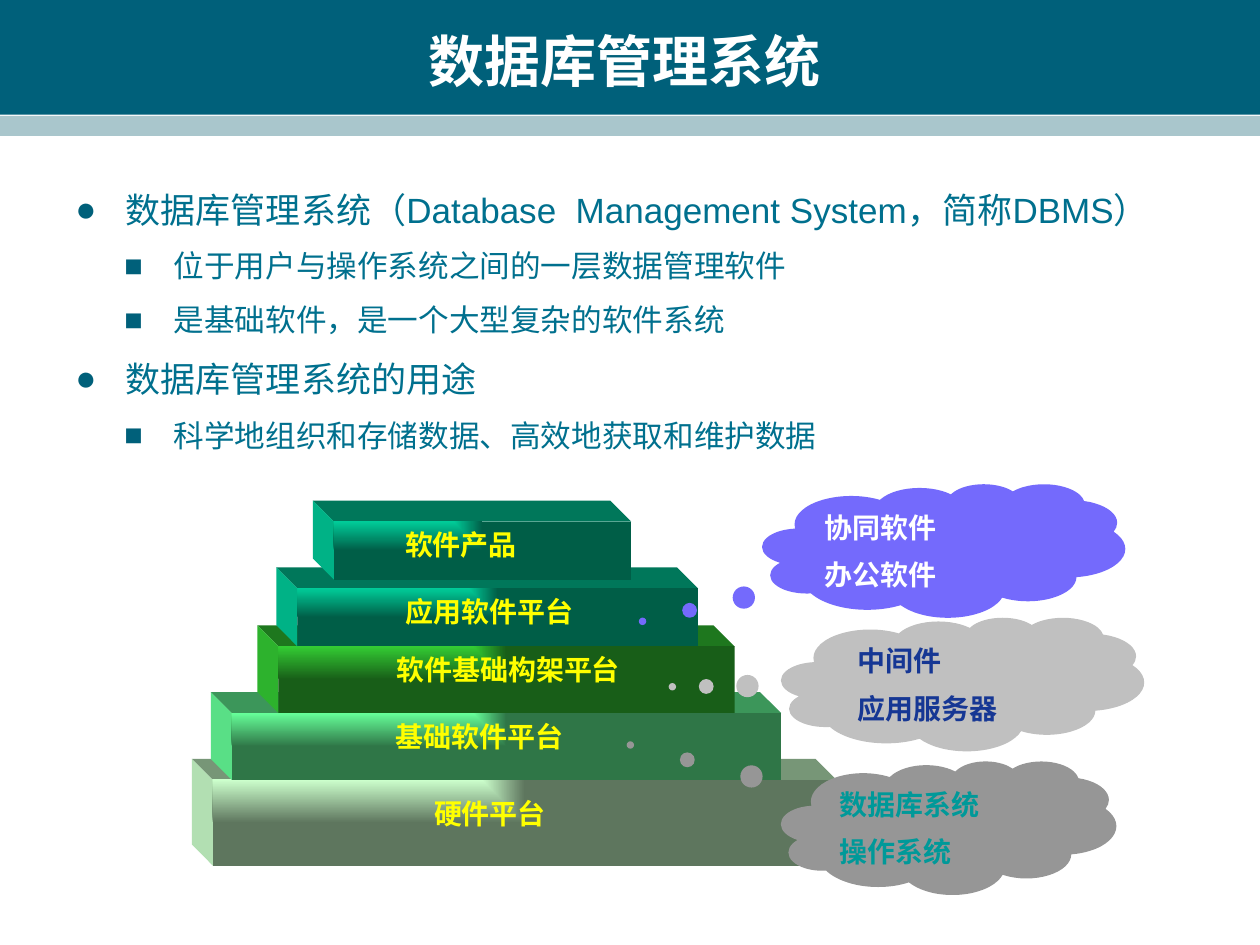
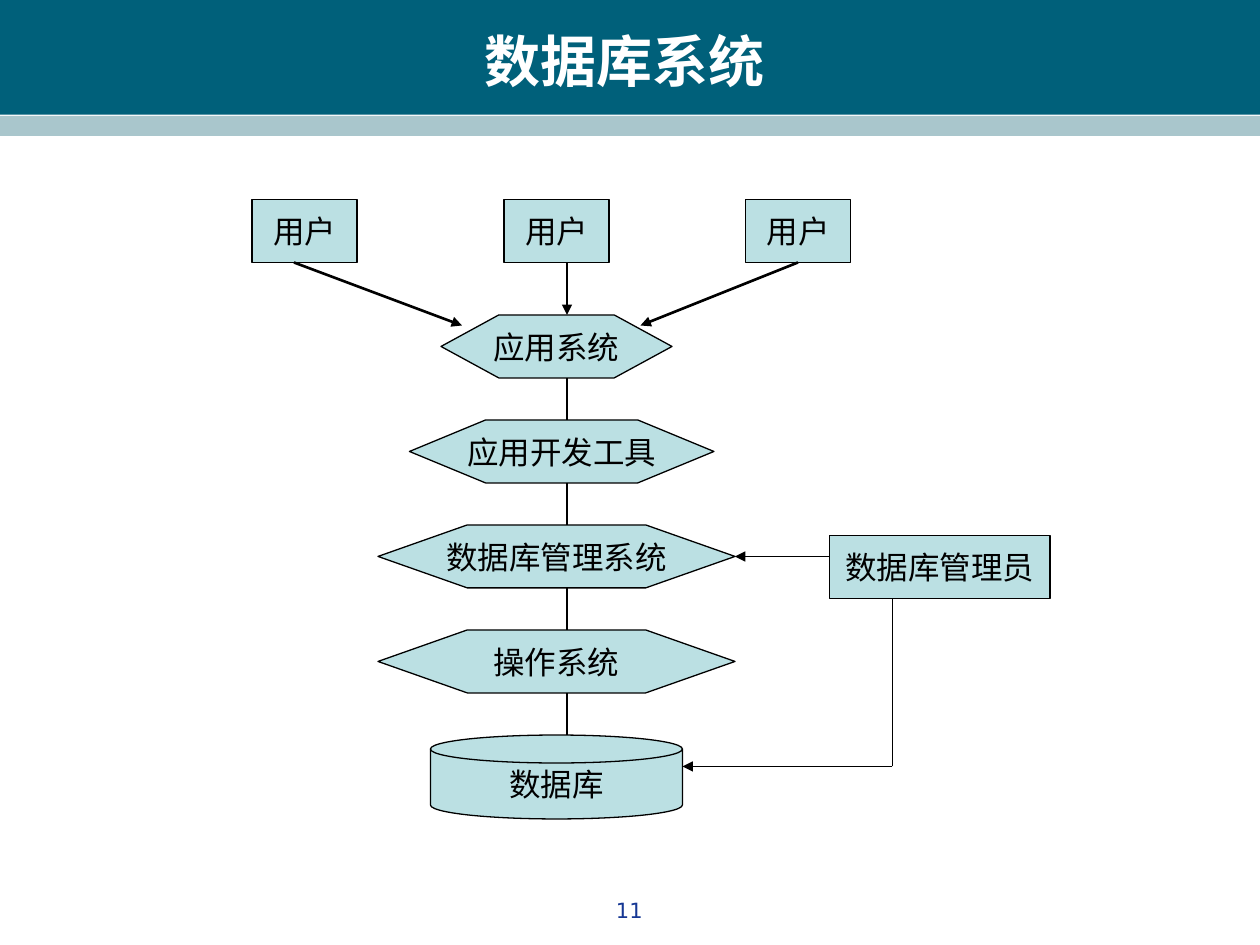
from lxml.etree import SubElement
from pptx import Presentation
from pptx.dml.color import RGBColor
from pptx.enum.shapes import MSO_CONNECTOR as Connector, MSO_SHAPE as Preset
from pptx.enum.text import MSO_ANCHOR as Anchor, PP_ALIGN as Align
from pptx.oxml.ns import qn
from pptx.util import Inches, Pt

# Theme: colours, fonts and type sizes
THEME = {
    "band": "00607A", "stripe": "A9C6CC", "body": "00708E", "white": "FFFFFF",
    "label": "FFFF00", "node": "BBE0E3", "ink": "000000", "navy": "163794",
    "teal": "009999",
    "heading_font": "DejaVu Sans", "body_font": "Arial", "label_font": "Noto Sans CJK SC",
    "title_size": 32, "level_sizes": (20, 17.5), "label_size": 16,
    "node_size": 18, "number_size": 12,
}
WIDTH, HEIGHT = 10, 7.5

# Slide 1 content: text by level
DBMS_TITLE = "数据库管理系统"
DBMS_POINTS = [
    (0, "数据库管理系统（Database  Management System，简称DBMS）"),
    (1, "位于用户与操作系统之间的一层数据管理软件"),
    (1, "是基础软件，是一个大型复杂的软件系统"),
    (0, "数据库管理系统的用途"),
    (1, "科学地组织和存储数据、高效地获取和维护数据"),
]
BULLETS = [("●", 0.4, 0.4), ("■", 0.78, 0.39)]  # mark, margin, hanging indent
DEPTH = 1 / 6  # how far each step reaches back, up and to the left
# label, front face, light colour, dark colour, label place (left, top, width)
STEPS = [
    ("硬件平台", (1.69, 6.19, 4.95, 0.68), "CCFFCC", "5E765E", (2.95, 6.27, 1.48)),
    ("基础软件平台", (1.84, 5.66, 4.36, 0.53), "66FF99", "2F7647", (2.28, 5.66, 2.29)),
    ("软件基础构架平台", (2.21, 5.13, 3.62, 0.53), "33CC33", "185E18", (2.21, 5.13, 2.81)),
    ("应用软件平台", (2.36, 4.67, 3.18, 0.46), "00CC99", "005E47", (2.21, 4.67, 2.44)),
    ("软件产品", (2.65, 4.14, 2.36, 0.46), "00CC99", "005E47", (2.8, 4.14, 1.4)),
]
# lines, left, top, width, tail, fill, text colour, text margin
CLOUDS = [
    (("协同软件", "办公软件"), 6.05, 3.84, 2.88, (-0.83, 0.53), "746AFC", "white", 0),
    (("数据库系统", "操作系统"), 6.2, 6.04, 2.66, (-0.95, -0.62), "969696", "teal", 0),
    (("中间件", "应用服务器"), 6.2, 4.9, 2.88, (-0.8, 0.02), "C0C0C0", "navy", 0.11),
]
CLOUD_HEIGHT = 1.06

# Slide 2 content, on a grid of twelve cells to the inch
SYSTEM_TITLE = "数据库系统"
PAGE_NUMBER = "11"
CELL = 1 / 12
NODE_ROWS = 6
USER, USER_TOP, USER_COLUMNS, USER_WIDTH = "用户", 19, (24, 48, 71), 10
LAYERS_TOP, LAYER_PITCH, AXIS = 30, 10, 54
LAYERS = [  # label, left column, columns wide
    ("应用系统", 42, 22), ("应用开发工具", 39, 29),
    ("数据库管理系统", 36, 34), ("操作系统", 36, 34),
]
DATABASE = ("数据库", (41, 70, 24, 8))
ADMINISTRATOR = ("数据库管理员", (79, 51, 21, NODE_ROWS))
# start, end, weight, arrow at the end
LINKS = [
    ((79, 53), (70, 53), 0.75, True),
    ((85, 73), (65, 73), 0.75, True),
    ((85, 73), (85, 57), 0.75, False),
    ((28, 25), (44, 31), 1.5, True),
    ((76, 25), (61, 31), 1.5, True),
    ((AXIS, 25), (AXIS, LAYERS_TOP), 0.75, True),
]
for row in range(len(LAYERS)):
    layer_bottom = LAYERS_TOP + row * LAYER_PITCH + NODE_ROWS
    next_top = LAYERS_TOP + (row + 1) * LAYER_PITCH
    LINKS.append(((AXIS, layer_bottom), (AXIS, next_top), 0.75, False))


def colour(name):
    return RGBColor.from_string(THEME.get(name, name))


def apply(target, **formats):
    for name, value in formats.items():
        setattr(target, name, value)


def paint(shape, fill, line=None):
    """Flat fill, optional thin outline, no shadow."""
    shape.shadow.inherit = False
    if fill:
        shape.fill.solid()
        shape.fill.fore_color.rgb = colour(fill)
    if line:
        shape.line.color.rgb = colour(line)
        shape.line.width = Pt(0.75)
    else:
        shape.line.fill.background()


def add_preset(slide, preset, box, fill, line=None):
    shape = slide.shapes.add_shape(preset, *map(Inches, box))
    paint(shape, fill, line)
    return shape


def write(shape, lines, font, size, ink, bold=False, align=Align.LEFT,
          anchor=Anchor.TOP, wrap=True, before=0):
    """Fill a shape with paragraphs; before is a share of the line."""
    frame = shape.text_frame
    apply(frame, word_wrap=wrap, vertical_anchor=anchor)
    for index, line in enumerate(lines):
        paragraph = frame.paragraphs[0] if index == 0 else frame.add_paragraph()
        paragraph.alignment = align
        if before:
            spacing = SubElement(paragraph._p.get_or_add_pPr(), qn("a:spcBef"))
            SubElement(spacing, qn("a:spcPct"), val=str(round(before * 100000)))
        run = paragraph.add_run()
        run.text = line
        apply(run.font, name=THEME[font], size=Pt(size), bold=bold)
        run.font.color.rgb = colour(ink)
    return frame.paragraphs


def add_text(slide, box, lines, *args, **formats):
    shape = slide.shapes.add_textbox(*map(Inches, box))
    return write(shape, lines, *args, **formats)


def add_slide(presentation, title):
    """Blank slide with the shared bands and title."""
    slide = presentation.slides.add_slide(presentation.slide_layouts[6])
    add_preset(slide, Preset.RECTANGLE, (0, 0, WIDTH, 0.91), "band")
    add_preset(slide, Preset.RECTANGLE, (0, 0.92, WIDTH, 0.16), "stripe")
    add_text(slide, (0.33, 0.17, 9.25, 0.62), [title], "heading_font", THEME["title_size"],
             "white", bold=True, align=Align.CENTER, anchor=Anchor.MIDDLE)
    return slide


def add_points(slide):
    paragraphs = add_text(slide, (0.5, 1.15, 9, 2.69), [text for _, text in DBMS_POINTS],
                          "body_font", THEME["level_sizes"][0], "body",
                          anchor=Anchor.MIDDLE, before=0.2)
    for paragraph, (level, _) in zip(paragraphs, DBMS_POINTS):
        mark, margin, hanging = BULLETS[level]
        apply(paragraph, level=level, line_spacing=1.3)
        paragraph.runs[0].font.size = Pt(THEME["level_sizes"][level])
        properties = paragraph._p.pPr
        properties.set("marL", str(Inches(margin)))
        properties.set("indent", str(-Inches(hanging)))
        bullet_colour = SubElement(properties, qn("a:buClr"))
        SubElement(bullet_colour, qn("a:srgbClr"), val=THEME["band"])
        SubElement(properties, qn("a:buFont"), typeface=THEME["body_font"])
        SubElement(properties, qn("a:buChar"), char=mark)


def shade(hex_colour, factor):
    channels = (int(hex_colour[i:i + 2], 16) for i in (0, 2, 4))
    return "".join(f"{min(255, round(value * factor)):02X}" for value in channels)


def add_face(slide, points, fill):
    corners = [(Inches(x), Inches(y)) for x, y in points]
    builder = slide.shapes.build_freeform(*corners[0], scale=1.0)
    builder.add_line_segments(corners[1:], close=True)
    paint(builder.convert_to_shape(), fill)


def add_step(slide, box, light, dark):
    """A block: top face, left face, and a front lit from its corner."""
    left, top, width, height = box
    right, bottom = left + width, top + height
    back_left, back_top = left - DEPTH, top - DEPTH
    add_face(slide, [(left, top), (back_left, back_top), (right - DEPTH, back_top),
                     (right, top)], shade(dark, 1.27))
    add_face(slide, [(left, top), (back_left, back_top), (back_left, bottom - DEPTH),
                     (left, bottom)], shade(light, 0.875))
    front = add_preset(slide, Preset.RECTANGLE, box, None)
    front.fill.gradient()
    for stop, tint in zip(front.fill.gradient_stops, (light, dark)):
        stop.color.rgb = colour(tint)
    gradient = front._element.spPr.find(qn("a:gradFill"))
    gradient.remove(gradient.find(qn("a:lin")))
    glow = SubElement(gradient, qn("a:path"), path="rect")
    SubElement(glow, qn("a:fillToRect"), r="100000", b="100000")
    gradient.find(qn("a:gsLst")).addnext(glow)


def add_cloud(slide, lines, left, top, width, tail, fill, ink, margin):
    cloud = add_preset(slide, Preset.CLOUD_CALLOUT, (left, top, width, CLOUD_HEIGHT), fill)
    for index, offset in enumerate(tail):
        cloud.adjustments[index] = offset
    paragraphs = write(cloud, lines, "label_font", THEME["label_size"], ink,
                       bold=True, before=0.5)
    for paragraph in paragraphs:
        paragraph._p.pPr.set("marL", str(Inches(margin)))


def add_node(slide, preset, label, cells):
    node = add_preset(slide, preset, [CELL * cell for cell in cells], "node", "ink")
    write(node, [label], "body_font", THEME["node_size"], "ink",
          align=Align.CENTER, anchor=Anchor.MIDDLE, wrap=False)
    return node


def add_link(slide, start, end, weight, arrow):
    ends = [Inches(CELL * cell) for cell in (*start, *end)]
    link = slide.shapes.add_connector(Connector.STRAIGHT, *ends)
    link.line.color.rgb = colour("ink")
    link.line.width = Pt(weight)
    if arrow:
        SubElement(link.line._get_or_add_ln(), qn("a:tailEnd"), type="triangle")
    SubElement(link._element.spPr, qn("a:effectLst"))


def build_dbms_slide(presentation):
    slide = add_slide(presentation, DBMS_TITLE)
    add_points(slide)
    for _, box, light, dark, _ in STEPS:
        add_step(slide, box, light, dark)
    for label, _, _, _, place in STEPS:
        add_text(slide, (*place, 0.37), [label], "label_font", THEME["label_size"], "label",
                 bold=True, align=Align.RIGHT, before=0.5)
    for cloud in CLOUDS:
        add_cloud(slide, *cloud)


def build_system_slide(presentation):
    slide = add_slide(presentation, SYSTEM_TITLE)
    add_text(slide, (3.83, 7.07, 2.33, 0.35), [PAGE_NUMBER], "heading_font",
             THEME["number_size"], "navy", align=Align.CENTER)
    for column in USER_COLUMNS:
        add_node(slide, Preset.RECTANGLE, USER, (column, USER_TOP, USER_WIDTH, NODE_ROWS))
    for index, (label, column, columns) in enumerate(LAYERS):
        top = LAYERS_TOP + index * LAYER_PITCH
        node = add_node(slide, Preset.HEXAGON, label, (column, top, columns, NODE_ROWS))
        node.adjustments[0] = columns / NODE_ROWS / 4  # points a quarter of the width
    add_node(slide, Preset.FLOWCHART_MAGNETIC_DISK, *DATABASE)
    add_node(slide, Preset.RECTANGLE, *ADMINISTRATOR)
    for link in LINKS:
        add_link(slide, *link)


def main():
    presentation = Presentation()
    apply(presentation, slide_width=Inches(WIDTH), slide_height=Inches(HEIGHT))
    build_dbms_slide(presentation)
    build_system_slide(presentation)
    presentation.save("out.pptx")


if __name__ == "__main__":
    main()
